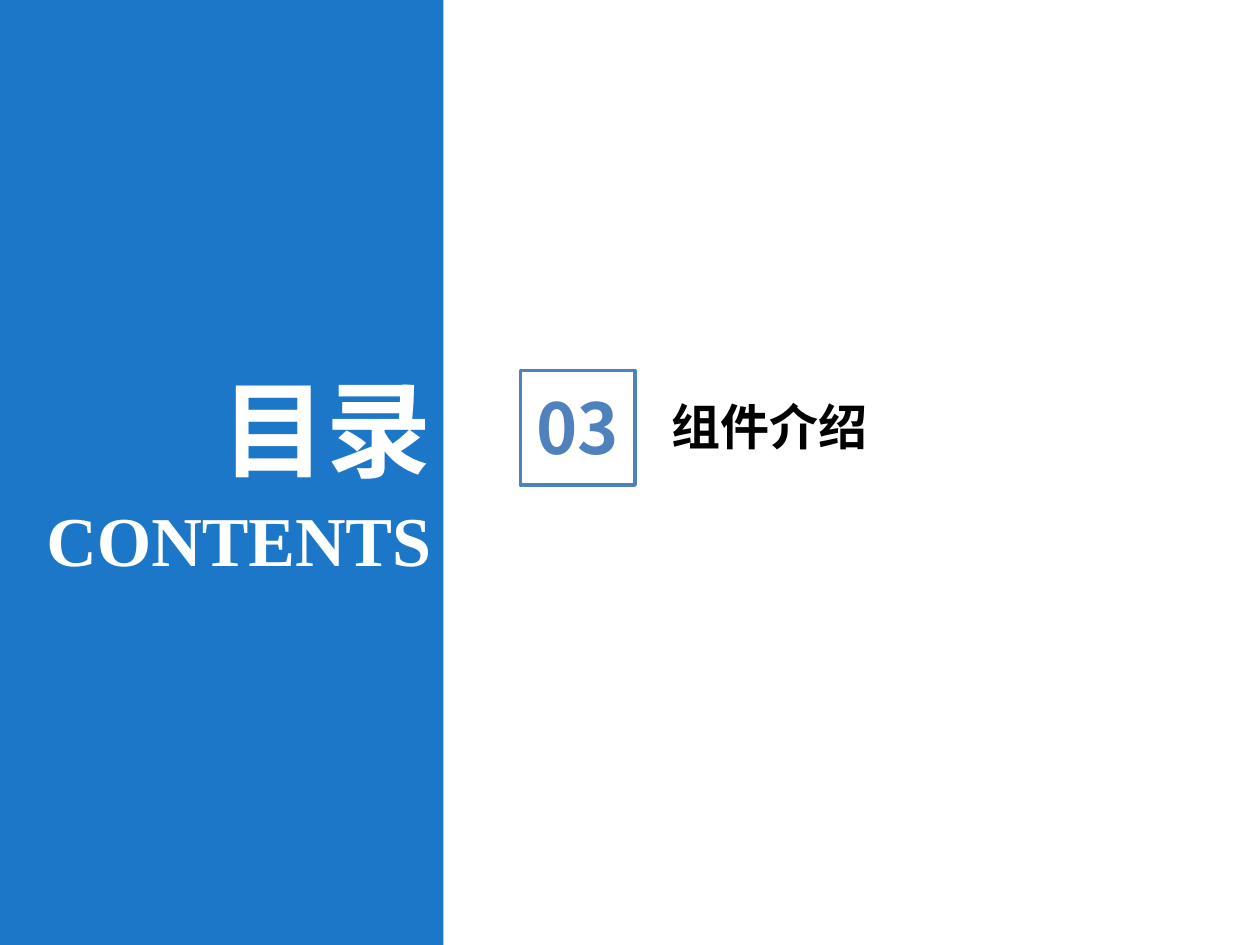
from lxml.etree import SubElement
from pptx import Presentation
from pptx.dml.color import RGBColor
from pptx.enum.shapes import MSO_SHAPE
from pptx.enum.text import MSO_AUTO_SIZE, PP_ALIGN
from pptx.oxml.ns import qn
from pptx.util import Inches, Pt

# Content
TITLE = "目录"
SUBTITLE = "CONTENTS"
CHAPTER_NUMBER = "03"
CHAPTER_NAME = "组件介绍"

# Style
COLORS = {"panel": "1D77C9", "accent": "4F81BD", "light": "FFFFFF", "dark": "000000"}
CHINESE_FONT = "Noto Sans CJK SC"
LATIN_FONT = "Times New Roman"

# Layout in inches
SLIDE_WIDTH, SLIDE_HEIGHT = 10, 7.5
PANEL_WIDTH = 3.52
TITLE_WIDTH = 2.54
BADGE_LEFT, BADGE_TOP, BADGE_SIZE = 4.13, 2.94, 0.91
NAME_LEFT = 5.23


def add_rectangle(shapes, left, top, width, height, fill=None, line=None):
    shape = shapes.add_shape(MSO_SHAPE.RECTANGLE, Inches(left), Inches(top),
                             Inches(width), Inches(height))
    shape.shadow.inherit = False
    if fill:
        shape.fill.solid()
        shape.fill.fore_color.rgb = RGBColor.from_string(COLORS[fill])
    else:
        shape.fill.background()
    if line:
        shape.line.color.rgb = RGBColor.from_string(COLORS[line])
        shape.line.width = Pt(2)
    else:
        shape.line.fill.background()


def add_label(shapes, text, left, top, width, height, size, color, font, alignment):
    text_box = shapes.add_textbox(Inches(left), Inches(top), Inches(width), Inches(height))
    text_frame = text_box.text_frame
    text_frame.text = text
    text_frame.word_wrap = True
    text_frame.auto_size = MSO_AUTO_SIZE.SHAPE_TO_FIT_TEXT
    paragraph = text_frame.paragraphs[0]
    paragraph.alignment = alignment
    run = paragraph.runs[0]
    run.font.size = Pt(size)
    run.font.bold = True
    run.font.color.rgb = RGBColor.from_string(COLORS[color])
    run.font.name = font
    # Chinese characters take the East Asian typeface
    SubElement(run.font._element, qn("a:ea")).set("typeface", font)


presentation = Presentation()
presentation.slide_width = Inches(SLIDE_WIDTH)
presentation.slide_height = Inches(SLIDE_HEIGHT)
slide = presentation.slides.add_slide(presentation.slide_layouts[6])

# Blue panel with the heading, right-aligned to its edge
add_rectangle(slide.shapes, 0, 0, PANEL_WIDTH, SLIDE_HEIGHT, fill="panel")
add_label(slide.shapes, TITLE, PANEL_WIDTH - TITLE_WIDTH, 2.84, TITLE_WIDTH, 1.11,
          60, "light", CHINESE_FONT, PP_ALIGN.RIGHT)
add_label(slide.shapes, SUBTITLE, 0, 3.89, PANEL_WIDTH, 0.77,
          40, "light", LATIN_FONT, PP_ALIGN.RIGHT)

# Chapter entry: name and framed number
chapter = slide.shapes.add_group_shape()
add_label(chapter.shapes, CHAPTER_NAME, NAME_LEFT, 3.1, 2.97, 0.57,
          28, "dark", CHINESE_FONT, PP_ALIGN.LEFT)
add_label(chapter.shapes, CHAPTER_NUMBER, BADGE_LEFT, 3, BADGE_SIZE, 0.77,
          40, "accent", CHINESE_FONT, PP_ALIGN.CENTER)
add_rectangle(chapter.shapes, BADGE_LEFT, BADGE_TOP, BADGE_SIZE, BADGE_SIZE, line="accent")

presentation.save("out.pptx")
